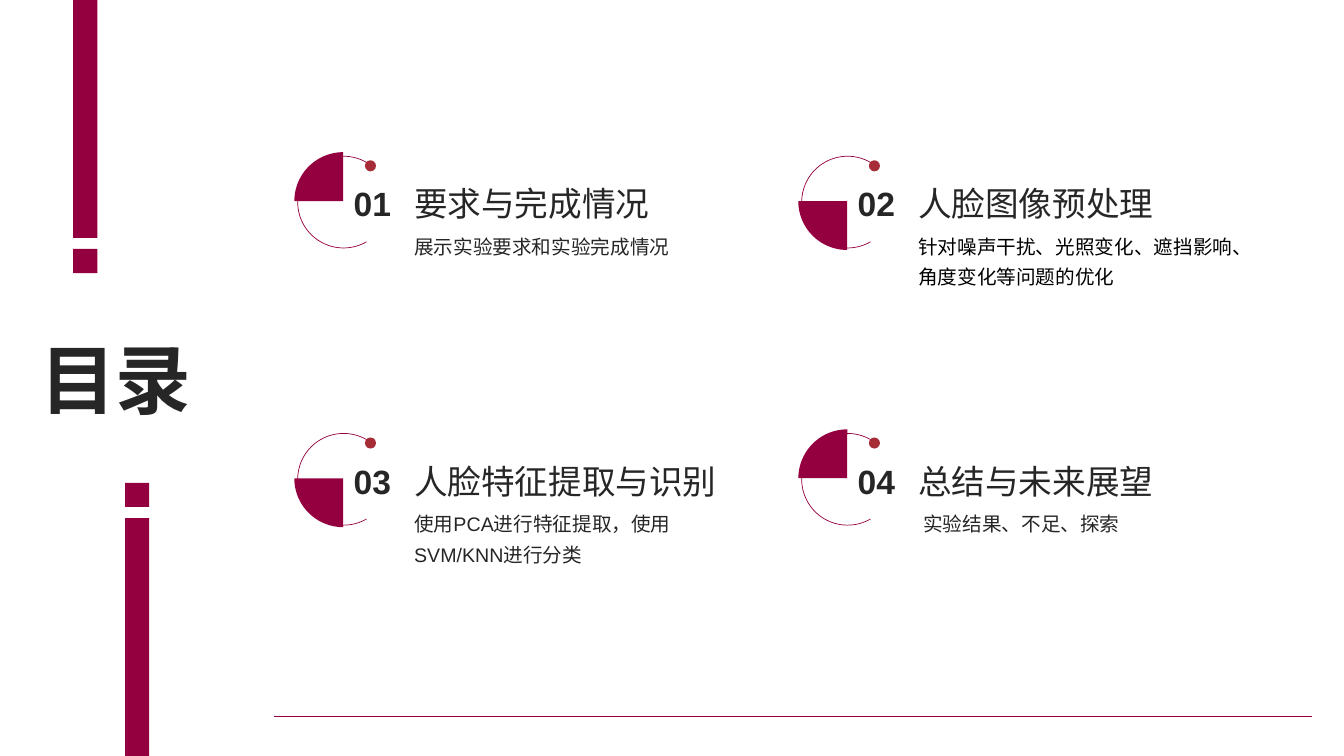
from dataclasses import dataclass

from lxml.etree import SubElement
from pptx import Presentation
from pptx.dml.color import RGBColor
from pptx.enum.shapes import MSO_CONNECTOR, MSO_SHAPE
from pptx.enum.text import MSO_ANCHOR, MSO_AUTO_SIZE, PP_ALIGN
from pptx.oxml.ns import qn
from pptx.util import Inches, Pt


@dataclass(frozen=True)
class Theme:
    font: str = "Arial"
    wine: RGBColor = RGBColor(0x94, 0x00, 0x3F)
    red: RGBColor = RGBColor(0xA6, 0x2C, 0x38)
    ink: RGBColor = RGBColor(0x26, 0x26, 0x26)
    black: RGBColor = RGBColor(0, 0, 0)
    title_size: int = 54
    heading_size: int = 24
    detail_size: int = 14


@dataclass(frozen=True)
class Topic:
    heading: str
    detail: str
    lines: int = 1
    turn: int = 0
    color: RGBColor = Theme.ink
    indent: float = 0


class Agenda:
    """Places elements on a grid of 40 columns and 30 rows."""

    COLUMNS, ROWS = 40, 30

    def __init__(self, deck, theme):
        self.theme = theme
        self.column = deck.slide_width / self.COLUMNS
        self.row = deck.slide_height / self.ROWS
        self.slide = deck.slides.add_slide(deck.slide_layouts[5])

    def area(self, x, y, width, height):
        return (int(x * self.column), int(y * self.row),
                int(width * self.column), int(height * self.row))

    def fill_text(self, frame, words, size, color=None, bold=False, wrap=False):
        frame.word_wrap = wrap
        frame.auto_size = MSO_AUTO_SIZE.SHAPE_TO_FIT_TEXT
        frame.vertical_anchor = MSO_ANCHOR.TOP
        paragraph = frame.paragraphs[0]
        paragraph.alignment = PP_ALIGN.LEFT
        run = paragraph.add_run()
        run.text = words
        run.font.name = self.theme.font
        run.font.size = Pt(size)
        run.font.bold = bold
        run.font.color.rgb = color or self.theme.ink
        return paragraph

    def title(self, words, *place):
        heading = self.slide.shapes.title
        heading.left, heading.top, heading.width, heading.height = self.area(*place)
        self.fill_text(heading.text_frame, words, self.theme.title_size, bold=True)

    def text(self, words, place, size, **style):
        box = self.slide.shapes.add_textbox(*self.area(*place))
        return self.fill_text(box.text_frame, words, size, **style)

    def shape(self, kind, place, fill=None, turn=0, angles=()):
        figure = self.slide.shapes.add_shape(kind, *self.area(*place))
        figure.shadow.inherit = False
        figure.rotation = turn
        for index, angle in enumerate(angles):
            figure.adjustments[index] = angle
        if fill is None:
            figure.fill.background()
            figure.line.color.rgb = self.theme.wine
            figure.line.width = Pt(0.5)
        else:
            figure.fill.solid()
            figure.fill.fore_color.rgb = fill
            figure.line.fill.background()

    def rule(self, start, end, y):
        left, top, length, _ = self.area(start, y, end - start, 0)
        line = self.slide.shapes.add_connector(
            MSO_CONNECTOR.STRAIGHT, left, top, left + length, top)
        line.line.color.rgb = self.theme.wine
        line.line.width = Pt(1)
        SubElement(line._element.spPr, qn("a:effectLst"))

    def topic(self, number, topic, x, y):
        theme = self.theme
        # Number and wording
        self.text(f"{number:02}", (x + 1.47, y + 1.04, 1.74, 2),
                  theme.heading_size, bold=True)
        self.text(topic.heading, (x + 3.27, y + 1.04, 1.1 * len(topic.heading), 2),
                  theme.heading_size)
        detail = self.text(
            topic.detail, (x + 3.27, y + 2.8, 9.96, 0.28 + 1.24 * topic.lines),
            theme.detail_size, color=topic.color, wrap=True)
        detail.line_spacing = 1.3
        if topic.indent:
            detail._p.get_or_add_pPr().set("marL", str(Inches(topic.indent)))
        # Quarter disc, open ring and dot
        self.shape(MSO_SHAPE.PIE, (x, y, 2.91, 3.88), theme.wine, topic.turn, (108, 162))
        self.shape(MSO_SHAPE.ARC, (x + 0.1, y + 0.16, 2.73, 3.64),
                   turn=150, angles=(162, 92.44))
        self.shape(MSO_SHAPE.OVAL, (x + 2.1, y + 0.32, 0.33, 0.44), theme.red)


TOPICS = [
    Topic("要求与完成情况", "展示实验要求和实验完成情况"),
    Topic("人脸图像预处理", "针对噪声干扰、光照变化、遮挡影响、角度变化等问题的优化",
          lines=2, turn=270, color=Theme.black),
    Topic("人脸特征提取与识别", "使用PCA进行特征提取，使用SVM/KNN进行分类", lines=2, turn=270),
    Topic("总结与未来展望", "实验结果、不足、探索", indent=0.05),
]


def main():
    deck = Presentation()
    deck.slide_width, deck.slide_height = Inches(13.33), Inches(7.5)
    agenda = Agenda(deck, Theme())

    # Bottom rule and title
    agenda.rule(8.16, 39.06, 28.44)
    agenda.title("目录", 0.9, 13, 5.16, 4.04)

    # Bars above the title, mirrored below it
    for top, height in ((0, 9.44), (9.88, 0.96)):
        for x, y in ((2.18, top), (3.72, agenda.ROWS - top - height)):
            agenda.shape(MSO_SHAPE.RECTANGLE, (x, y, 0.72, height), agenda.theme.wine)

    # Topics in two columns
    for index, topic in enumerate(TOPICS):
        line, side = divmod(index, 2)
        agenda.topic(index + 1, topic, 8.76 + 15 * side, 6.04 + 11 * line)

    deck.save("out.pptx")


if __name__ == "__main__":
    main()
